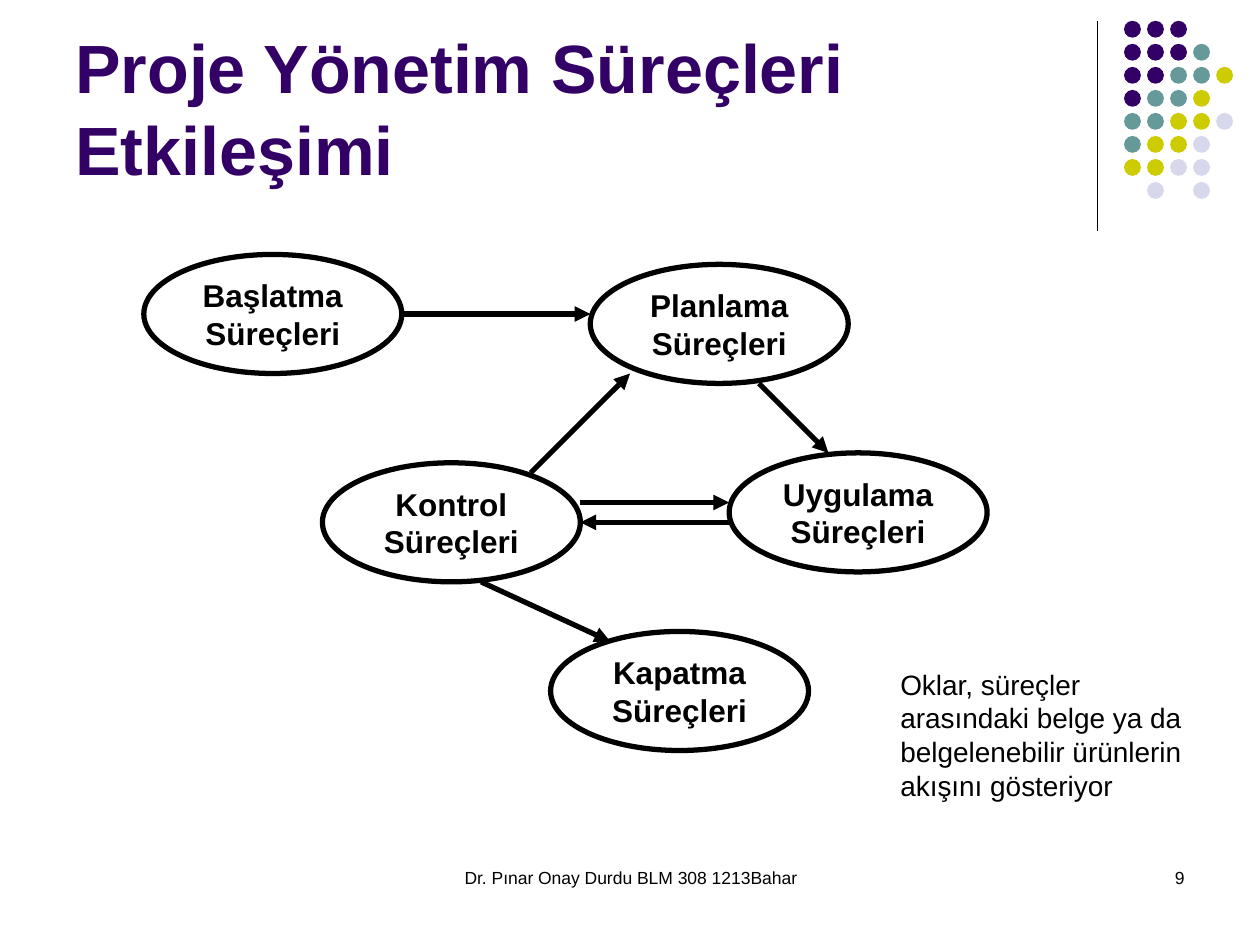
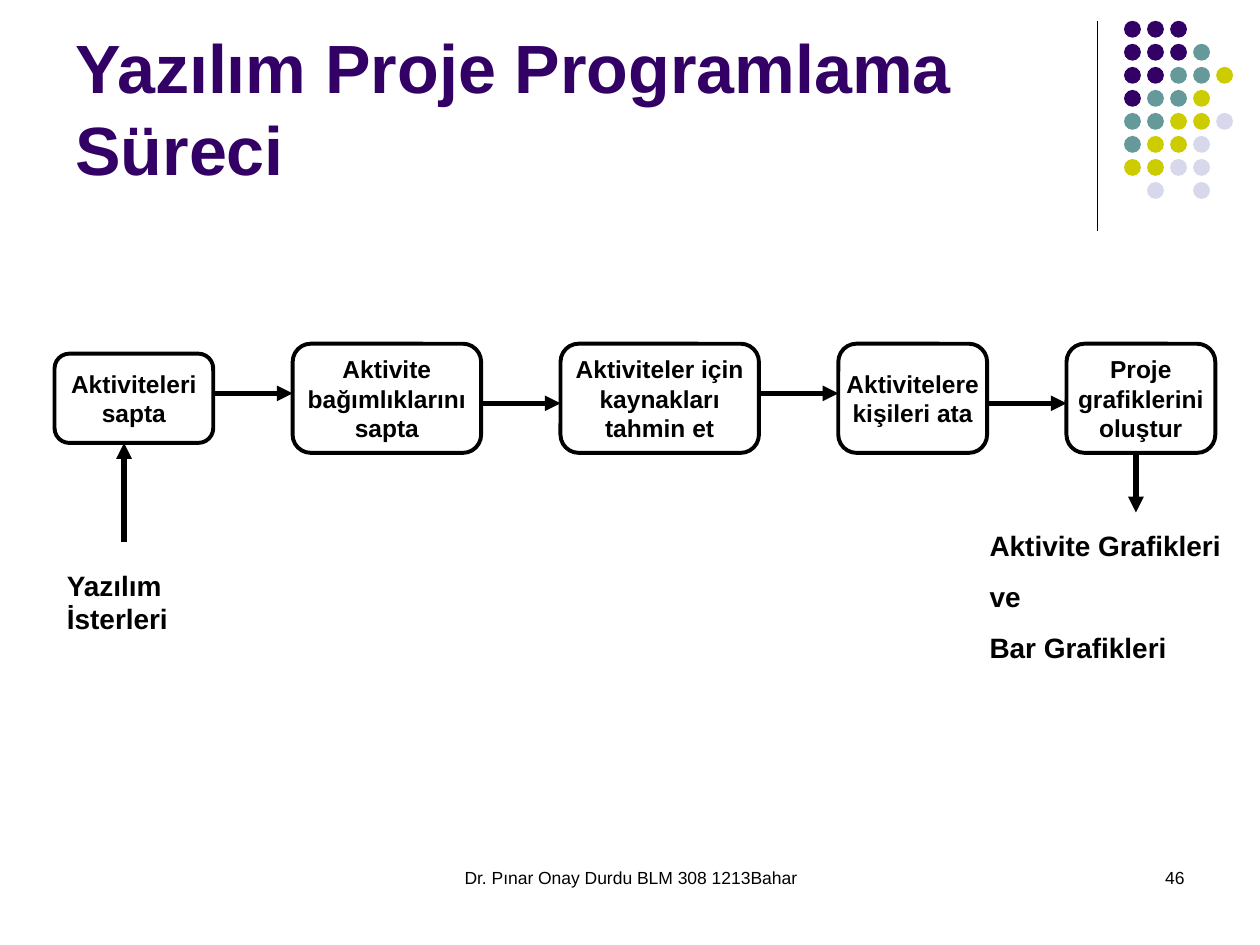
from dataclasses import dataclass

from lxml import etree
from pptx import Presentation
from pptx import util as u
from pptx.dml.color import RGBColor
from pptx.enum import shapes, text
from pptx.oxml import ns

INK = RGBColor(0x00, 0x00, 0x00)
PURPLE = RGBColor(0x33, 0x00, 0x66)
TEAL = RGBColor(0x66, 0x99, 0x99)
OLIVE = RGBColor(0xCC, 0xCC, 0x00)
LAVENDER = RGBColor(0xD8, 0xD8, 0xEC)
FONT = "Arial"
FOOTER = "Dr. Pınar Onay Durdu BLM 308 1213Bahar"

DOT_ROWS = ["PPP", "PPPT", "PPTTO", "PTTO", "TTOOL", "TOOL", "OOLL", " L L"]
DOT_COLOURS = {"P": PURPLE, "T": TEAL, "O": OLIVE, "L": LAVENDER}
DOT_LEFT, DOT_TOP, DOT_SIZE = 22.66, 0.42, 0.34
DOT_PITCH = 3.25 / (len(DOT_ROWS) - 1)

OVAL_WIDTH, OVAL_HEIGHT = 5.2, 2.4
STEP_GAP = 1.6


@dataclass(frozen=True)
class Box:
    left: float
    top: float
    width: float
    height: float

    def lengths(self) -> list[u.Length]:
        return [u.Cm(value) for value in (self.left, self.top, self.width, self.height)]


@dataclass(frozen=True)
class Style:
    size: float
    bold: bool = False
    colour: RGBColor = INK
    align: text.PP_ALIGN = text.PP_ALIGN.LEFT
    anchor: text.MSO_ANCHOR = text.MSO_ANCHOR.TOP
    before: float = 0
    wrap: bool = True
    grow: bool = False


@dataclass(frozen=True)
class Process:
    name: str
    left: float
    top: float


@dataclass(frozen=True)
class Step:
    lines: list[str]
    width: float
    top: float = 6.93
    height: float = 2.2


@dataclass(frozen=True)
class Arrow:
    start: tuple[float, float]
    end: tuple[float, float]


TITLE = Style(39, bold=True, colour=PURPLE, anchor=text.MSO_ANCHOR.BOTTOM)
FOOTER_CENTRE = Style(10, align=text.PP_ALIGN.CENTER)
FOOTER_RIGHT = Style(10, align=text.PP_ALIGN.RIGHT)
NOTE = Style(16, before=10, grow=True)
BOLD_NOTE = Style(16, bold=True, before=10, grow=True)
OVAL_LABEL = Style(18, bold=True, align=text.PP_ALIGN.CENTER,
                   anchor=text.MSO_ANCHOR.MIDDLE, wrap=False)
STEP_LABEL = Style(14, bold=True, align=text.PP_ALIGN.CENTER,
                   anchor=text.MSO_ANCHOR.MIDDLE, wrap=False)

PROCESSES = [
    Process("Başlatma", 2.9, 5.13),
    Process("Planlama", 11.9, 5.33),
    Process("Kontrol", 6.5, 9.33),
    Process("Uygulama", 14.7, 9.13),
    Process("Kapatma", 11.1, 12.73),
]
PROCESS_FLOWS = [
    Arrow((8.1, 6.33), (11.9, 6.33)),
    Arrow((10.7, 9.53), (12.7, 7.53)),
    Arrow((15.3, 7.73), (16.7, 9.13)),
    Arrow((11.7, 10.13), (14.7, 10.13)),
    Arrow((14.7, 10.53), (11.7, 10.53)),
    Arrow((9.7, 11.73), (12.3, 12.93)),
]
STEPS = [
    Step(["Aktiviteleri", "sapta"], 3.2, 7.13, 1.8),
    Step(["Aktivite", "bağımlıklarını", "sapta"], 3.8),
    Step(["Aktiviteler için", "kaynakları", "tahmin et"], 4),
    Step(["Aktivitelere", "kişileri ata"], 3),
    Step(["Proje", "grafiklerini", "oluştur"], 3),
]
INPUT_AND_OUTPUT = [
    Arrow((2.5, 10.93), (2.5, 8.93)),
    Arrow((22.9, 9.13), (22.9, 10.33)),
]


def write(shape, lines: list[str], style: Style) -> None:
    frame = shape.text_frame
    frame.word_wrap = style.wrap
    frame.vertical_anchor = style.anchor
    if style.grow:
        frame.auto_size = text.MSO_AUTO_SIZE.SHAPE_TO_FIT_TEXT
    for index, line in enumerate(lines):
        paragraph = frame.add_paragraph() if index else frame.paragraphs[0]
        paragraph.alignment = style.align
        paragraph.line_spacing = 1.0
        if index and style.before:
            paragraph.space_before = u.Pt(style.before)
        run = paragraph.add_run()
        run.text = line
        run.font.name = FONT
        run.font.size = u.Pt(style.size)
        run.font.bold = style.bold
        run.font.color.rgb = style.colour


def add_text(slide, box: Box, lines: list[str], style: Style) -> None:
    write(slide.shapes.add_textbox(*box.lengths()), lines, style)


def add_outlined(slide, kind: shapes.MSO_SHAPE, box: Box, line_width: float,
                 lines: list[str], style: Style) -> None:
    shape = slide.shapes.add_shape(kind, *box.lengths())
    shape.shadow.inherit = False
    shape.fill.background()
    shape.line.color.rgb = INK
    shape.line.width = u.Pt(line_width)
    write(shape, lines, style)


def add_line(slide, arrow: Arrow, width: float = 3, head: bool = True) -> None:
    ends = [u.Cm(value) for value in (*arrow.start, *arrow.end)]
    connector = slide.shapes.add_connector(shapes.MSO_CONNECTOR.STRAIGHT, *ends)
    connector.line.color.rgb = INK
    connector.line.width = u.Pt(width)
    if head:
        outline = connector.line._get_or_add_ln()
        etree.SubElement(outline, ns.qn("a:tailEnd"), type="triangle")
    etree.SubElement(connector._element.spPr, ns.qn("a:effectLst"))


def add_dots(slide) -> None:
    group = slide.shapes.add_group_shape()
    for row, pattern in enumerate(DOT_ROWS):
        for column, key in enumerate(pattern):
            if key not in DOT_COLOURS:
                continue
            box = Box(DOT_LEFT + column * DOT_PITCH, DOT_TOP + row * DOT_PITCH,
                      DOT_SIZE, DOT_SIZE)
            dot = group.shapes.add_shape(shapes.MSO_SHAPE.OVAL, *box.lengths())
            dot.shadow.inherit = False
            dot.fill.solid()
            dot.fill.fore_color.rgb = DOT_COLOURS[key]
            dot.line.fill.background()


def add_slide(presentation, title: str, number: int):
    slide = presentation.slides.add_slide(presentation.slide_layouts[6])
    add_line(slide, Arrow((22.12, 0.42), (22.12, 4.66)), width=0.75, head=False)
    add_dots(slide)
    add_text(slide, Box(8.69, 17.35, 8.05, 1.27), [FOOTER], FOOTER_CENTRE)
    add_text(slide, Box(18.21, 17.35, 5.92, 1.27), [str(number)], FOOTER_RIGHT)
    add_text(slide, Box(1.27, 0.33, 20.96, 3.61), [title], TITLE)
    return slide


def build_interaction(presentation) -> None:
    slide = add_slide(presentation, "Proje Yönetim Süreçleri Etkileşimi", 9)
    for process in PROCESSES:
        box = Box(process.left, process.top, OVAL_WIDTH, OVAL_HEIGHT)
        add_outlined(slide, shapes.MSO_SHAPE.OVAL, box, 3,
                     [process.name, "Süreçleri"], OVAL_LABEL)
    for flow in PROCESS_FLOWS:
        add_line(slide, flow)
    add_text(slide, Box(17.9, 13.33, 6.8, 2.97),
             ["Oklar, süreçler arasındaki belge ya da belgelenebilir "
              "ürünlerin akışını gösteriyor"], NOTE)


def build_scheduling(presentation) -> None:
    slide = add_slide(presentation, "Yazılım Proje Programlama Süreci", 46)
    left = 1.1
    for index, step in enumerate(STEPS):
        if index:
            level = 7.93 if index % 2 else 8.13
            add_line(slide, Arrow((left - STEP_GAP, level), (left, level)))
        add_outlined(slide, shapes.MSO_SHAPE.ROUNDED_RECTANGLE,
                     Box(left, step.top, step.width, step.height), 2.25,
                     step.lines, STEP_LABEL)
        left += step.width + STEP_GAP
    for arrow in INPUT_AND_OUTPUT:
        add_line(slide, arrow)
    add_text(slide, Box(1.1, 11.33, 4, 1.63), ["Yazılım İsterleri"], BOLD_NOTE)
    add_text(slide, Box(19.7, 10.53, 5.2, 3),
             ["Aktivite Grafikleri", "ve", "Bar Grafikleri"], BOLD_NOTE)


def main() -> None:
    presentation = Presentation()
    presentation.slide_width = u.Cm(25.4)
    presentation.slide_height = u.Cm(19.05)
    build_interaction(presentation)
    build_scheduling(presentation)
    presentation.save("out.pptx")


if __name__ == "__main__":
    main()
